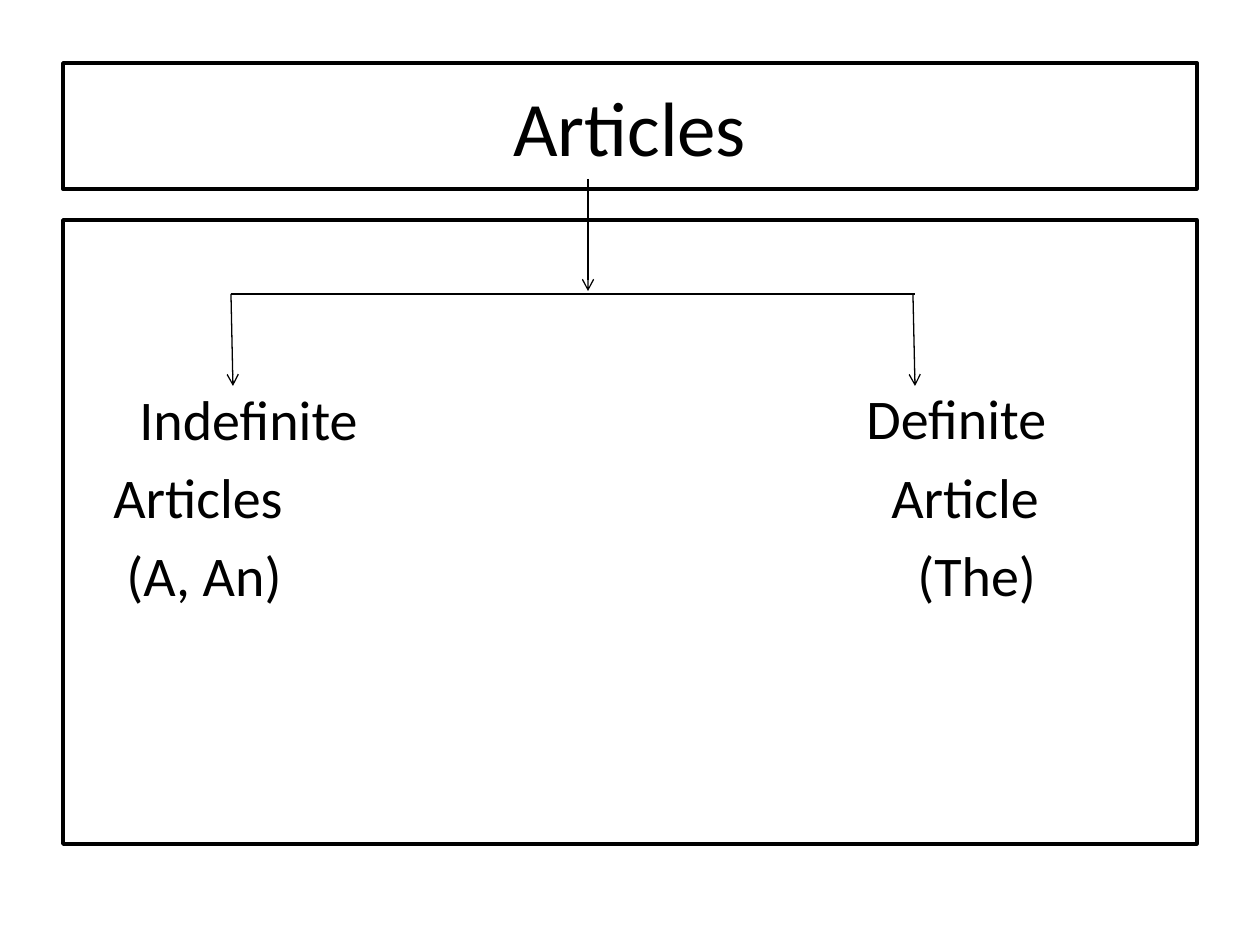
from dataclasses import dataclass

from lxml.etree import SubElement
from pptx import Presentation
from pptx.dml.color import RGBColor
from pptx.enum.shapes import MSO_CONNECTOR, MSO_SHAPE
from pptx.enum.text import MSO_ANCHOR, PP_ALIGN
from pptx.oxml.ns import qn
from pptx.util import Emu, Pt

PX = 914400 / 126
BLACK, WHITE = "000000", "FFFFFF"


@dataclass
class Box:
    x: int
    y: int
    w: int
    h: int


@dataclass
class Line:
    x1: int
    y1: int
    x2: int
    y2: int
    arrow: bool = True


@dataclass
class Row:
    text: str
    indent: int


TITLE = Box(63, 63, 1134, 126)
BODY = Box(63, 220, 1134, 624)
DEFINITE = Box(854, 378, 330, 240)
BAR_Y, TIP_Y = 294, 386
LINES = [
    Line(588, 179, 588, 291),
    Line(231, BAR_Y, 915, BAR_Y, arrow=False),
    Line(231, BAR_Y, 233, TIP_Y),
    Line(913, BAR_Y, 915, TIP_Y),
]
INDEFINITE_ROWS = [Row("Indefinite", 64), Row("Articles", 38), Row("(A, An)", 51)]
DEFINITE_ROWS = [Row("Definite", 0), Row("Article", 25), Row("(The)", 51)]
ROWS_Y = 384


def px(n: int) -> Emu:
    return Emu(round(n * PX))


def rgb(value: str) -> RGBColor:
    return RGBColor.from_string(value)


def apply(obj, values: dict) -> None:
    for name, value in values.items():
        setattr(obj, name, value)


def place(box: Box) -> tuple:
    return px(box.x), px(box.y), px(box.w), px(box.h)


def add_box(s, box: Box):
    sp = s.shapes.add_shape(MSO_SHAPE.RECTANGLE, *place(box))
    sp.shadow.inherit = False
    sp.fill.solid()
    sp.fill.fore_color.rgb = rgb(WHITE)
    sp.line.color.rgb = rgb(BLACK)
    sp.line.width = Pt(2)
    return sp.text_frame


def add_text(p, text: str, size: int, para: dict) -> None:
    apply(p, para)
    r = p.add_run()
    r.text = text
    apply(r.font, {"name": "Calibri", "size": Pt(size)})
    r.font.color.rgb = rgb(BLACK)


def add_rows(tf, box: Box, rows: list[Row]) -> None:
    apply(tf, {"word_wrap": True, "vertical_anchor": MSO_ANCHOR.TOP,
               "margin_top": px(ROWS_Y - box.y)})
    for i, row in enumerate(rows):
        p = tf.add_paragraph() if i else tf.paragraphs[0]
        add_text(p, row.text, 32, {"alignment": PP_ALIGN.LEFT,
                                   "space_before": Pt(6.4 if i else 0)})
        apply_indent(p, row.indent)


def apply_indent(p, indent: int) -> None:
    pPr = p._p.get_or_add_pPr()
    pPr.set("marL", str(px(indent)))
    pPr.set("indent", "0")


def add_line(s, line: Line) -> None:
    cn = s.shapes.add_connector(MSO_CONNECTOR.STRAIGHT, px(line.x1), px(line.y1),
                                px(line.x2), px(line.y2))
    cn.line.color.rgb = rgb(BLACK)
    cn.line.width = Pt(0.75)
    if line.arrow:
        SubElement(cn.line._get_or_add_ln(), qn("a:tailEnd"), type="arrow")
    SubElement(cn._element.spPr, qn("a:effectLst"))


def main() -> None:
    prs = Presentation()
    apply(prs, {"slide_width": px(1260), "slide_height": px(945)})
    s = prs.slides.add_slide(prs.slide_layouts[6])

    tf = add_box(s, TITLE)
    apply(tf, {"word_wrap": True, "vertical_anchor": MSO_ANCHOR.MIDDLE})
    add_text(tf.paragraphs[0], "Articles", 44, {"alignment": PP_ALIGN.CENTER})

    add_rows(add_box(s, BODY), BODY, INDEFINITE_ROWS)
    add_rows(s.shapes.add_textbox(*place(DEFINITE)).text_frame, DEFINITE, DEFINITE_ROWS)

    for line in LINES:
        add_line(s, line)

    prs.save("out.pptx")


if __name__ == "__main__":
    main()
